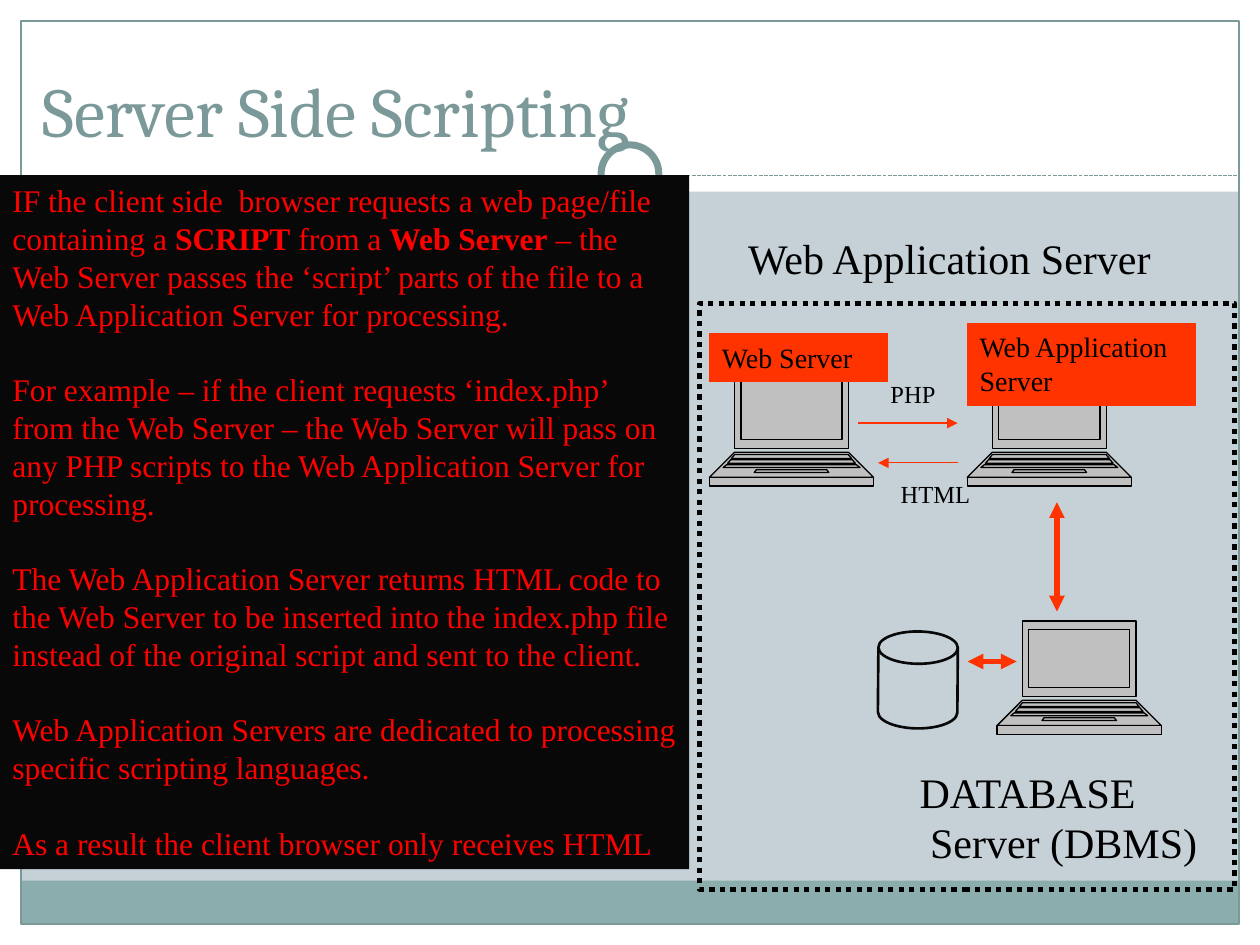
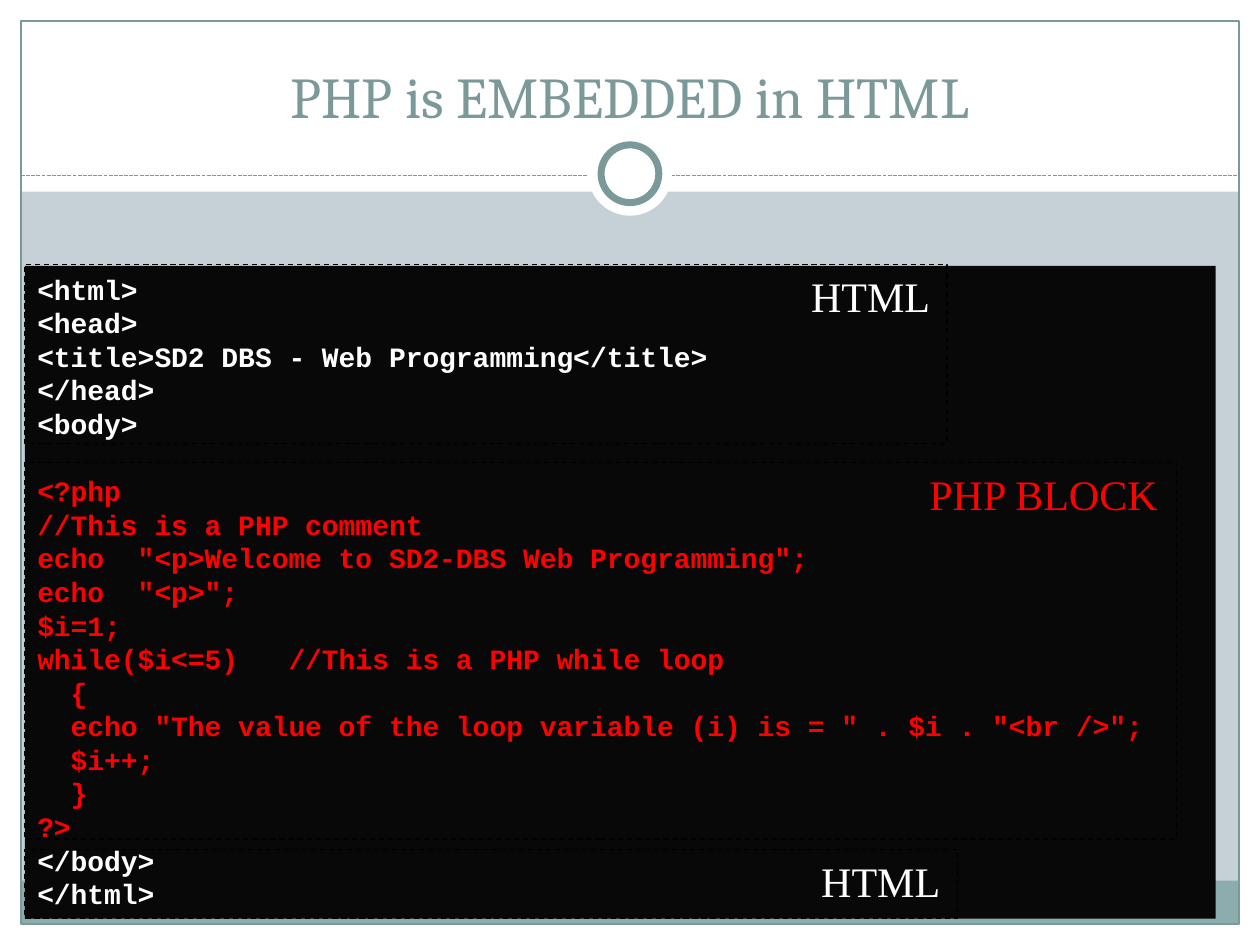
from dataclasses import dataclass
from typing import NamedTuple, Optional, Sequence

from lxml.etree import SubElement
from pptx import Presentation
from pptx.dml.color import RGBColor
from pptx.enum.dml import MSO_LINE as Dash
from pptx.enum.shapes import MSO_CONNECTOR, MSO_SHAPE as Preset
from pptx.enum.text import MSO_ANCHOR as Anchor, MSO_AUTO_SIZE as AutoSize, PP_ALIGN as Align
from pptx.oxml.ns import qn
from pptx.util import Pt

SLATE, TEAL, SKY = "7C999A", "8CADAE", "C5D1D7"
WHITE, BLACK, INK = "FFFFFF", "000000", "080808"
RED, ORANGE, SILVER = "FF0000", "FF3300", "C0C0C0"
SERIF, MONO, HEADING = "Times New Roman", "Courier New", "Cambria"
WIDTH, HEIGHT, MARGIN = 720, 540, 12


class Box(NamedTuple):
    left: float
    top: float
    width: float
    height: float


@dataclass(frozen=True)
class Look:
    fill: Optional[str] = None
    line: Optional[str] = None
    weight: float = 0.75
    dash: Optional[Dash] = None


@dataclass(frozen=True)
class Style:
    size: float
    color: str = BLACK
    font: str = SERIF
    bold: bool = False


class Passage(NamedTuple):
    text: str
    style: Style
    before: float = 0
    indent: float = 0


class Label(NamedTuple):
    box: Box
    passages: Sequence[Passage]


class Arrow(NamedTuple):
    begin: tuple[float, float]
    end: tuple[float, float]
    weight: float = 0.75
    double: bool = False


class LaptopPart(NamedTuple):
    top: float
    bottom: float
    top_inset: float
    bottom_inset: float


LAPTOP_WIDTH = 93.8
LAPTOP_PARTS = [
    LaptopPart(0, 43.2, 14.4, 14.4),
    LaptopPart(45.4, 59.8, 14.4, 0),
    LaptopPart(59.8, 64.8, 0, 0),
    LaptopPart(5, 38.2, 18, 18),
    LaptopPart(46.8, 49, 14.4, 12.6),
    LaptopPart(49.7, 51.8, 12.2, 10.4),
    LaptopPart(52.6, 54.2, 9.8, 7.8),
    LaptopPart(55.4, 57, 26.8, 25.6),
]
LAPTOP_LOOK = Look(SILVER, BLACK)
TAG = Look(ORANGE, ORANGE)
PANEL = Look(INK)
CODE_FRAME = Look(None, BLACK, 0.75, Dash.DASH)

EXPLANATION = [
    "IF the client side  browser requests a web page/file containing a **SCRIPT** from a "
    "**Web Server** – the Web Server passes the ‘script’ parts of the file to a "
    "Web Application Server for processing.",
    "For example – if the client requests ‘index.php’ from the Web Server – the Web Server "
    "will pass on any PHP scripts to the Web Application Server for processing.",
    "The Web Application Server returns HTML code to the Web Server to be inserted into the "
    "index.php file instead of the original script and sent to the client.",
    "Web Application Servers are dedicated to processing specific scripting languages.",
    "As a result the client browser only receives HTML",
]
HTML_HEAD = """<html>
<head>
<title>SD2 DBS - Web Programming</title>
</head>
<body>"""
PHP_BLOCK = """<?php
//This is a PHP comment
echo  "<p>Welcome to SD2-DBS Web Programming";
echo  "<p>";
$i=1;
while($i<=5)   //This is a PHP while loop
  {
  echo "The value of the loop variable (i) is = " . $i . "<br />";
  $i++;
  }
?>"""
HTML_TAIL = """</body>
</html>"""


def rgb(color: str) -> RGBColor:
    return RGBColor.from_string(color)


def apply_line(line, look: Look) -> None:
    if look.line is None:
        line.fill.background()
        return
    line.color.rgb = rgb(look.line)
    line.width = Pt(look.weight)
    if look.dash is not None:
        line.dash_style = look.dash


def apply_look(shape, look: Look) -> None:
    shape.shadow.inherit = False
    if look.fill is None:
        shape.fill.background()
    else:
        shape.fill.solid()
        shape.fill.fore_color.rgb = rgb(look.fill)
    apply_line(shape.line, look)


def add_preset(slide, box: Box, look: Look, preset: Preset = Preset.RECTANGLE):
    shape = slide.shapes.add_shape(preset, *map(Pt, box))
    apply_look(shape, look)
    return shape


def add_line(slide, begin: tuple, end: tuple, look: Look):
    connector = slide.shapes.add_connector(MSO_CONNECTOR.STRAIGHT, *map(Pt, (*begin, *end)))
    apply_line(connector.line, look)
    SubElement(connector.element.spPr, qn("a:effectLst"))
    return connector


def add_arrow(slide, arrow: Arrow) -> None:
    connector = add_line(slide, arrow.begin, arrow.end, Look(None, ORANGE, arrow.weight))
    line = connector.element.spPr.get_or_add_ln()
    for tip in ("a:headEnd", "a:tailEnd") if arrow.double else ("a:tailEnd",):
        SubElement(line, qn(tip)).set("type", "triangle")


def style_run(run, style: Style, bold: bool) -> None:
    run.font.name = style.font
    run.font.size = Pt(style.size)
    run.font.bold = bold
    run.font.color.rgb = rgb(style.color)


def write_passages(shape, passages: Sequence[Passage], wrap: bool = True) -> None:
    frame = shape.text_frame
    frame.word_wrap = wrap
    frame.auto_size = AutoSize.SHAPE_TO_FIT_TEXT
    frame.vertical_anchor = Anchor.TOP
    for index, passage in enumerate(passages):
        paragraph = frame.add_paragraph() if index else frame.paragraphs[0]
        paragraph.alignment = Align.LEFT
        if passage.before:
            paragraph.space_before = Pt(passage.before)
        if passage.indent:
            paragraph._p.get_or_add_pPr().set("marL", str(Pt(passage.indent)))
        for position, piece in enumerate(passage.text.split("**")):
            run = paragraph.add_run()
            run.text = piece
            style_run(run, passage.style, passage.style.bold or position % 2 == 1)


def add_label(slide, label: Label) -> None:
    write_passages(slide.shapes.add_textbox(*map(Pt, label.box)), label.passages, wrap=False)


def add_text_panel(slide, label: Label, look: Look) -> None:
    write_passages(add_preset(slide, label.box, look), label.passages)


def add_laptop(slide, left: float, top: float) -> None:
    laptop = slide.shapes.add_group_shape()
    for part in LAPTOP_PARTS:
        corners = [
            (part.top_inset, part.top),
            (LAPTOP_WIDTH - part.top_inset, part.top),
            (LAPTOP_WIDTH - part.bottom_inset, part.bottom),
            (part.bottom_inset, part.bottom),
        ]
        points = [(Pt(left + x), Pt(top + y)) for x, y in corners]
        builder = laptop.shapes.build_freeform(*points[0])
        builder.add_line_segments(points[1:], close=True)
        apply_look(builder.convert_to_shape(), LAPTOP_LOOK)


def decorate_layout(layout, slide) -> None:
    layout.background.fill.solid()
    layout.background.fill.fore_color.rgb = rgb(SKY)
    inner_width, inner_height = WIDTH - 2 * MARGIN, HEIGHT - 2 * MARGIN
    for box, color in [
        (Box(0, HEIGHT - MARGIN, WIDTH, MARGIN), WHITE),
        (Box(0, 0, WIDTH, 109.5), WHITE),
        (Box(0, 0, MARGIN, HEIGHT), WHITE),
        (Box(WIDTH - MARGIN, 0, MARGIN, HEIGHT), WHITE),
        (Box(MARGIN, 503.3, inner_width, 24.5), TEAL),
    ]:
        add_preset(slide, box, Look(color))
    add_preset(slide, Box(MARGIN, MARGIN, inner_width, inner_height), Look(None, SLATE))
    add_line(slide, (MARGIN, 100.5), (WIDTH - MARGIN, 100.5),
             Look(None, SLATE, 0.75, Dash.SQUARE_DOT))
    for diameter, look in [(48, Look(WHITE)), (33, Look(WHITE, SLATE, 4))]:
        corner = (WIDTH - diameter) / 2, 99.3 - diameter / 2
        add_preset(slide, Box(*corner, diameter, diameter), look, Preset.OVAL)
    decorations = [shape for shape in slide.shapes if not shape.is_placeholder]
    for number, shape in enumerate(decorations, start=100):
        shape.element.xpath(".//p:cNvPr")[0].set("id", str(number))
        layout.shapes.element.append(shape.element)


def format_title(slide, text: str, box: Box, size: float) -> None:
    title = slide.shapes.title
    title.left, title.top, title.width, title.height = map(Pt, box)
    frame = title.text_frame
    frame.text = text
    frame.word_wrap = True
    frame.auto_size = AutoSize.NONE
    frame.vertical_anchor = Anchor.BOTTOM
    paragraph = frame.paragraphs[0]
    paragraph.alignment = Align.CENTER
    style_run(paragraph.runs[0], Style(size, SLATE, HEADING), False)


def build_server_slide(slide) -> None:
    heading, tag, caption, body = Style(24), Style(16), Style(14), Style(18, RED)
    format_title(slide, "Server Side Scripting ", Box(0, 0, 393, 90), 40)
    add_preset(slide, Box(399.6, 173.3, 306, 334.8), Look(None, BLACK, 3, Dash.ROUND_DOT))
    for left, top in [(405.4, 213), (552.7, 213), (569.8, 354.8)]:
        add_laptop(slide, left, top)
    for box, text in [
        (Box(552.7, 185, 130.3, 46.8), "Web Application Server"),
        (Box(405.4, 190.8, 102, 27.4), "Web Server"),
    ]:
        add_text_panel(slide, Label(box, [Passage(text, tag)]), TAG)
    drum = add_preset(slide, Box(496.8, 365.8, 55.4, 45.4), Look(None, INK, 1.5),
                      Preset.FLOWCHART_DIRECT_ACCESS_STORAGE)
    drum.rotation = 270.4
    explanation = [Passage(text, body, 21.6 if index else 0)
                   for index, text in enumerate(EXPLANATION)]
    add_text_panel(slide, Label(Box(0, 100, 393.8, 396.7), explanation), PANEL)
    for arrow in [
        Arrow((553, 378), (581, 378), 3, True),
        Arrow((604, 287), (604, 349.4), 3, True),
        Arrow((490.3, 241.8), (547.2, 241.8)),
        Arrow((547.2, 264.5), (501.8, 264.5)),
    ]:
        add_arrow(slide, arrow)
    for label in [
        Label(Box(518.4, 434.2, 173.5, 64.8),
              [Passage("DATABASE", heading), Passage("Server (DBMS)", heading, 0, 6)]),
        Label(Box(420.5, 129.6, 247.7, 36), [Passage("Web Application Server", heading)]),
        Label(Box(501.8, 213, 40.3, 24), [Passage("PHP", caption)]),
        Label(Box(507.6, 270, 54, 24), [Passage("HTML", caption)]),
    ]:
        add_label(slide, label)


def build_code_slide(slide) -> None:
    format_title(slide, "PHP is EMBEDDED in HTML", Box(24, 18, 672, 60), 33)
    code = []
    for block, color, gap in [(HTML_HEAD, WHITE, 0), (PHP_BLOCK, RED, 19.2), (HTML_TAIL, WHITE, 0)]:
        style = Style(16, color, MONO, True)
        code += [Passage(line, style, 0 if index else gap)
                 for index, line in enumerate(block.splitlines())]
    add_text_panel(slide, Label(Box(14.2, 152, 680.4, 373), code), PANEL)
    for frame, text, color, label_width in [
        (Box(14.2, 264.2, 658, 215.3), "PHP BLOCK", RED, 146.2),
        (Box(14.2, 151.2, 527, 102.2), "HTML", WHITE, 82.8),
        (Box(14.2, 485.3, 532.8, 39.6), "HTML", WHITE, 82.8),
    ]:
        add_preset(slide, frame, CODE_FRAME)
        label_left = frame.left + frame.width - label_width - 2
        add_label(slide, Label(Box(label_left, frame.top, label_width, 36),
                               [Passage(text, Style(24, color))]))


def main() -> None:
    presentation = Presentation()
    presentation.slide_width, presentation.slide_height = Pt(WIDTH), Pt(HEIGHT)
    layout = presentation.slide_layouts.get_by_name("Title Only")
    server_slide, code_slide = (presentation.slides.add_slide(layout) for _ in range(2))
    decorate_layout(layout, server_slide)
    build_server_slide(server_slide)
    build_code_slide(code_slide)
    presentation.save("out.pptx")


if __name__ == "__main__":
    main()
